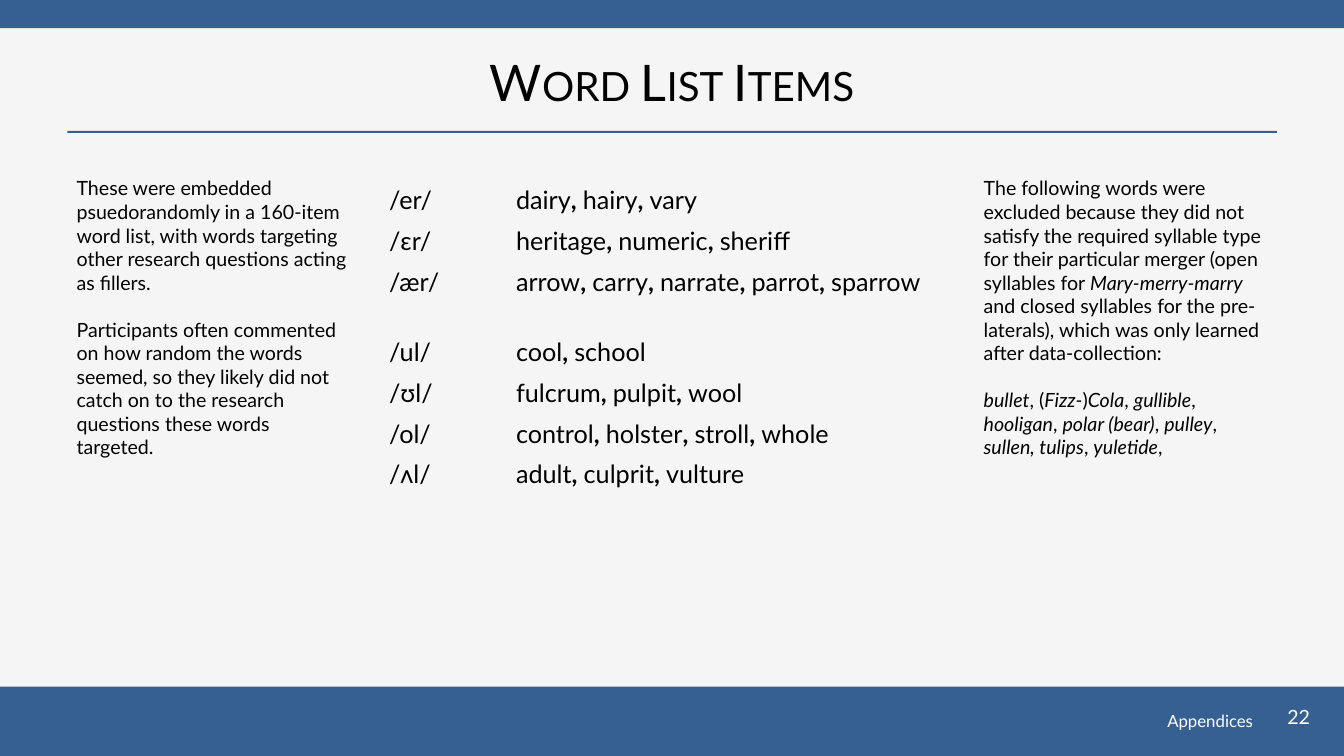
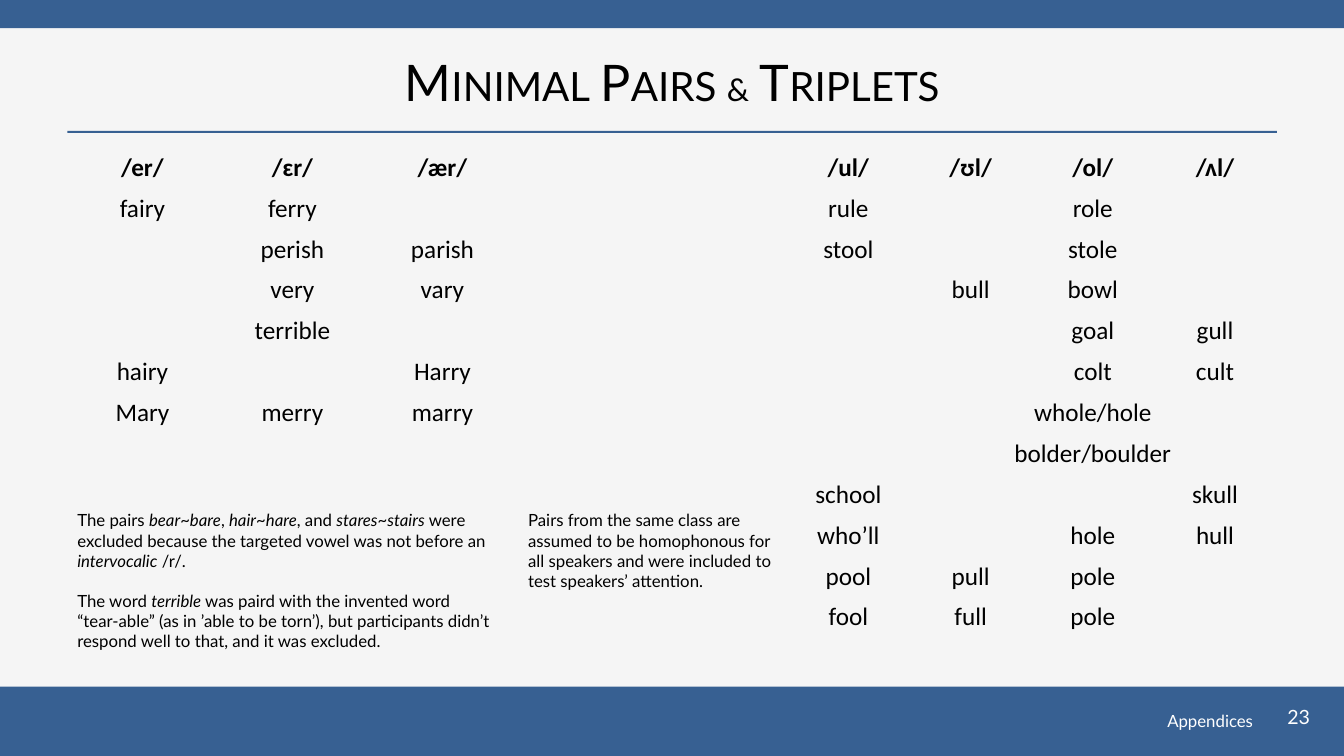
from pptx import Presentation
from pptx.dml.color import RGBColor
from pptx.enum import shapes, text
from pptx.util import Cm, Pt

HEX = {"blue": "376092", "back": "F5F5F5", "ink": "000000", "white": "FFFFFF"}
WIDE, HIGH = 33.87, 19.05
ROW = 1.03
LEAD = 1.2  # line height as a multiple of the text size
PLAIN = "{2D5ABB26-0587-4C30-8999-92F81FD0307C}"  # no style, no grid
LEFT, MID, RIGHT = text.PP_ALIGN.LEFT, text.PP_ALIGN.CENTER, text.PP_ALIGN.RIGHT

# Bands: left, top, width, height in cm
BANDS = [(0, 17.3, WIDE, 1.75), (0, 0, WIDE, 0.71), (1.7, 3.3, 30.48, 0.05)]

# Stars switch a second style on and off: italic in notes, smaller in titles
SLIDES = [
    {
        "title": "Word List Items",
        "page": 22,
        "tables": [{
            "at": (9.55, 4.52), "cols": [3.2, 11.56], "font": "Lato",
            "align": LEFT, "head": False, "gaps": {2: 0.74},
            "rows": [
                ("/er/", "dairy*, *hairy*, *vary"),
                ("/ɛr/", "heritage*, *numeric*, *sheriff"),
                ("/ær/", "arrow*, *carry*, *narrate*, *parrot*, *sparrow"),
                ("/ul/", "cool*, *school"),
                ("/ʊl/", "fulcrum*, *pulpit*, *wool"),
                ("/ol/", "control*, *holster*, *stroll*, *whole"),
                ("/ʌl/", "adult*, *culprit*, *vulture"),
            ],
        }],
        "notes": [
            ((1.68, 4.32, 7.32, 7.44), 14, [
                "These were embedded psuedorandomly in a 160-item word list, "
                "with words targeting other research questions acting as fillers.",
                "Participants often commented on how random the words seemed, so "
                "they likely did not catch on to the research questions these "
                "words targeted.",
            ]),
            ((24.54, 4.32, 7.65, 7.44), 14, [
                "The following words were excluded because they did not satisfy "
                "the required syllable type for their particular merger (open "
                "syllables for *Mary-merry-marry* and closed syllables for the "
                "pre-laterals), which was only learned after data-collection:",
                "*bullet*, (*Fizz-*)*Cola*, *gullible*, *hooligan*, "
                "*polar (bear)*, *pulley*, *sullen, tulips*, *yuletide*,",
            ]),
        ],
    },
    {
        "title": "Minimal Pairs *&* Triplets",
        "page": 23,
        "tables": [
            {
                "at": (19.84, 3.71), "cols": [3.08] * 4, "font": "Calibri",
                "align": MID, "head": True, "spans": [6, 7],
                "rows": [
                    ("/ul/", "/ʊl/", "/ol/", "/ʌl/"),
                    ("rule", "", "role", ""),
                    ("stool", "", "stole", ""),
                    ("", "bull", "bowl", ""),
                    ("", "", "goal", "gull"),
                    ("", "", "colt", "cult"),
                    ("", "whole/hole", "", ""),
                    ("", "bolder/boulder", "", ""),
                    ("school", "", "", "skull"),
                    ("who’ll", "", "hole", "hull"),
                    ("pool", "pull", "pole", ""),
                    ("fool", "full", "pole", ""),
                ],
            },
            {
                "at": (1.7, 3.71), "cols": [3.78] * 3, "font": "Calibri",
                "align": MID, "head": True,
                "rows": [
                    ("/er/", "/ɛr/", "/ær/"),
                    ("fairy", "ferry", ""),
                    ("", "perish", "parish"),
                    ("", "very", "vary"),
                    ("", "terrible", ""),
                    ("hairy", "", "Harry"),
                    ("Mary", "merry", "marry"),
                ],
            },
        ],
        "notes": [
            ((1.7, 12.73, 10.97, 3.84), 12, [
                "The pairs *bear~bare*, *hair~hare*, and *stares~stairs* were "
                "excluded because the targeted vowel was not before an "
                "*intervocalic* /r/.",
                "The word *terrible* was paird with the invented word “tear-able” "
                "(as in ’able to be torn’), but participants didn’t respond well "
                "to that, and it was excluded.",
            ]),
            ((13.06, 12.73, 6.81, 2.82), 12, [
                "Pairs from the same class are assumed to be homophonous for all "
                "speakers and were included to test speakers’ attention.",
            ]),
        ],
    },
]


def color(name):
    return RGBColor.from_string(HEX[name])


def write(para, words, size, font="Lato", ink="ink", align=LEFT, bold=False, alt=None):
    """Add words as runs; every starred part also gets the font settings in alt."""
    para.alignment = align
    for n, part in enumerate(words.split("*")):
        if not part:
            continue
        run = para.add_run()
        run.text = part
        face = run.font
        face.name, face.size, face.bold = font, Pt(size), bold
        face.color.rgb = color(ink)
        if n % 2:
            for key, value in alt.items():
                setattr(face, key, value)


def add_box(slide, at, paras, size, anchor=text.MSO_ANCHOR.TOP, **style):
    frame = slide.shapes.add_textbox(*map(Cm, at)).text_frame
    frame.word_wrap = True
    frame.vertical_anchor = anchor
    for n, words in enumerate(paras):
        para = frame.add_paragraph() if n else frame.paragraphs[0]
        if n:
            para.space_before = Pt(size * LEAD)
        write(para, words, size, alt={"italic": True}, **style)


def add_base(slide, title, page):
    """Draw what all slides share: background, bands, title and footer."""
    slide.background.fill.solid()
    slide.background.fill.fore_color.rgb = color("back")
    for band in BANDS:
        bar = slide.shapes.add_shape(shapes.MSO_SHAPE.RECTANGLE, *map(Cm, band))
        bar.shadow.inherit = False
        bar.fill.solid()
        bar.fill.fore_color.rgb = color("blue")
        bar.line.fill.background()

    head = slide.shapes.title
    head.left, head.top, head.width, head.height = map(Cm, (1.7, 0.79, 30.48, 2.51))
    head.text_frame.vertical_anchor = text.MSO_ANCHOR.MIDDLE
    para = head.text_frame.paragraphs[0]
    write(para, title, 36, align=MID, alt={"size": Pt(28)})
    for run in para.runs:
        run.font._element.set("cap", "small")

    add_box(slide, (31.83, 17.65, 1.8, 1.02), [str(page)], 14, ink="white", align=MID)
    add_box(slide, (20.4, 17.65, 11.43, 1.02), ["Appendices"], 12,
            text.MSO_ANCHOR.MIDDLE, ink="white", align=RIGHT)


def add_grid(slide, spec):
    rows, cols, gaps = spec["rows"], spec["cols"], spec.get("gaps", {})
    highs = [ROW + gaps.get(r, 0) for r in range(len(rows))]
    size = (*spec["at"], sum(cols), sum(highs))
    frame = slide.shapes.add_table(len(rows), len(cols), *map(Cm, size))
    grid = frame.table
    grid.first_row = grid.horz_banding = False
    grid._tbl.tblPr[0].text = PLAIN
    for col, wide in zip(grid.columns, cols):
        col.width = Cm(wide)
    for r, row in enumerate(rows):
        grid.rows[r].height = Cm(highs[r])
        for c, words in enumerate(row):
            cell = grid.cell(r, c)
            cell.fill.background()
            write(cell.text_frame.paragraphs[0], words, 18, spec["font"],
                  align=spec["align"], bold=spec["head"] and r == 0,
                  alt={"bold": True})
    for r in spec.get("spans", []):
        grid.cell(r, 1).merge(grid.cell(r, 3))


def main():
    deck = Presentation()
    deck.slide_width, deck.slide_height = Cm(WIDE), Cm(HIGH)
    for page in SLIDES:
        slide = deck.slides.add_slide(deck.slide_layouts[5])
        add_base(slide, page["title"], page["page"])
        for spec in page["tables"]:
            add_grid(slide, spec)
        for at, size, paras in page["notes"]:
            add_box(slide, at, paras, size)
    deck.save("out.pptx")


if __name__ == "__main__":
    main()
